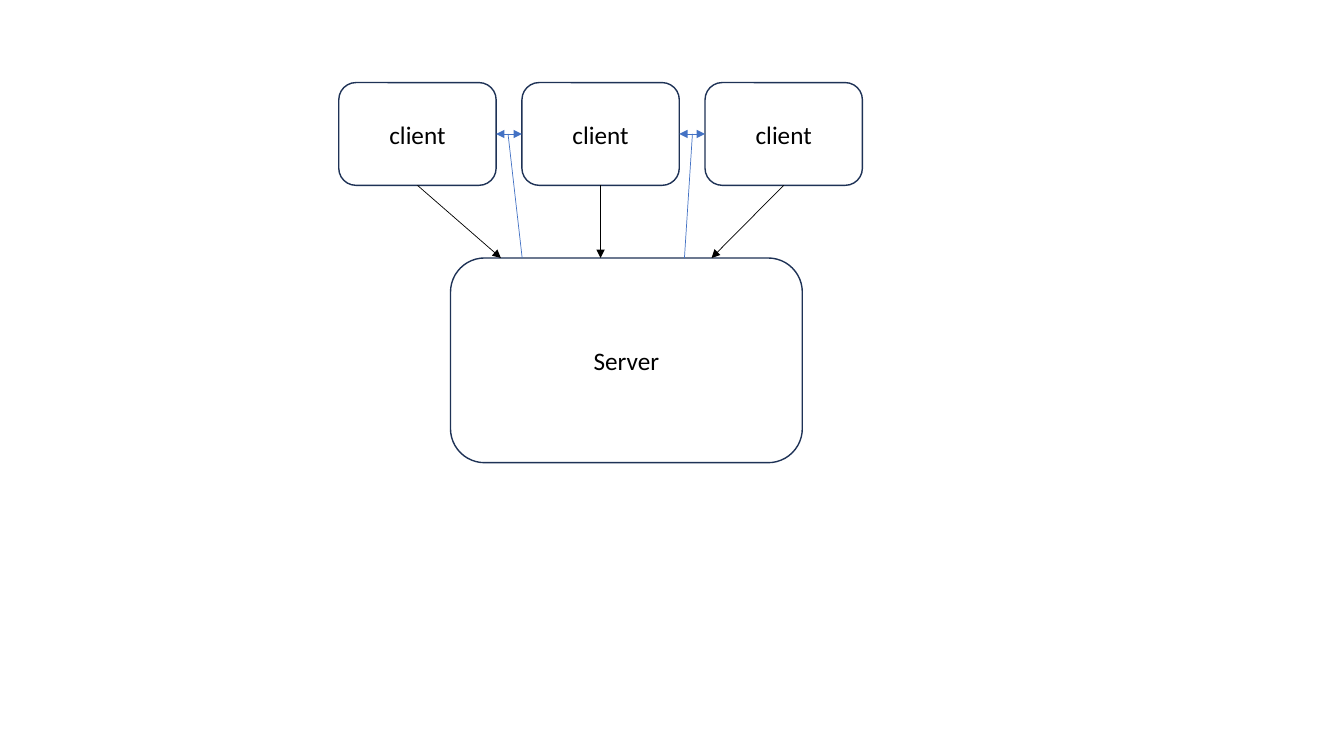
import pptx
import pptx.dml.color
import pptx.enum.shapes
import pptx.enum.text
import pptx.oxml.ns
import pptx.util
from lxml import etree

Pt = pptx.util.Pt
BLACK, WHITE, NAVY, BLUE = "000000", "FFFFFF", "1E3256", "4472C4"
TOP, LEFT, BOTTOM, RIGHT = range(4)

# Layout in points
CLIENT_LEFT, CLIENT_TOP, CLIENT_PITCH = 242, 59, 130.8
CLIENT_WIDTH, CLIENT_HEIGHT = 112.4, 73.4
CLIENT_BOTTOM = CLIENT_TOP + CLIENT_HEIGHT
CLIENT_MIDDLE = CLIENT_TOP + CLIENT_HEIGHT / 2
SERVER_LEFT, SERVER_TOP, SERVER_WIDTH, SERVER_HEIGHT = 321.8, 184.3, 251.3, 146.2

FONT_FORMAT = {"name": "Calibri", "size": Pt(18)}
FRAME_FORMAT = {
    "word_wrap": True,
    "vertical_anchor": pptx.enum.text.MSO_ANCHOR.MIDDLE,
}


def color(hex_string):
    return pptx.dml.color.RGBColor.from_string(hex_string)


def set_attributes(target, values):
    for name, value in values.items():
        setattr(target, name, value)


def add_box(slide, label, left, top, width, height):
    """Add a white rounded box with a centred label."""
    shape = slide.shapes.add_shape(
        pptx.enum.shapes.MSO_SHAPE.ROUNDED_RECTANGLE,
        Pt(left), Pt(top), Pt(width), Pt(height))
    shape.shadow.inherit = False
    shape.fill.solid()
    shape.fill.fore_color.rgb = color(WHITE)
    shape.line.color.rgb = color(NAVY)
    shape.line.width = Pt(1)

    set_attributes(shape.text_frame, FRAME_FORMAT)
    paragraph = shape.text_frame.paragraphs[0]
    paragraph.alignment = pptx.enum.text.PP_ALIGN.CENTER
    run = paragraph.add_run()
    run.text = label
    set_attributes(run.font, FONT_FORMAT)
    run.font.color.rgb = color(BLACK)
    return shape


def add_line(slide, start, end, line_color, arrowheads=()):
    """Add a thin straight line; arrowheads holds headEnd and/or tailEnd."""
    connector = slide.shapes.add_connector(
        pptx.enum.shapes.MSO_CONNECTOR.STRAIGHT,
        *(Pt(value) for value in (*start, *end)))
    connector.line.color.rgb = color(line_color)
    connector.line.width = Pt(0.5)
    line_element = connector.line._get_or_add_ln()
    for arrowhead in arrowheads:
        etree.SubElement(line_element, pptx.oxml.ns.qn("a:" + arrowhead), type="triangle")
    etree.SubElement(connector._element.spPr, pptx.oxml.ns.qn("a:effectLst"))
    return connector


def main():
    presentation = pptx.Presentation()
    presentation.slide_width, presentation.slide_height = Pt(960), Pt(540)
    slide = presentation.slides.add_slide(presentation.slide_layouts[6])

    # Server and clients
    add_box(slide, "Server", SERVER_LEFT, SERVER_TOP, SERVER_WIDTH, SERVER_HEIGHT)
    client_lefts = [CLIENT_LEFT + CLIENT_PITCH * index for index in range(3)]
    clients = [add_box(slide, "client", left, CLIENT_TOP, CLIENT_WIDTH, CLIENT_HEIGHT)
               for left in client_lefts]

    # Requests from each client to the server
    for client, left, server_x in zip(clients, client_lefts, (357.8, 429, 508.3)):
        request = add_line(slide, (left + CLIENT_WIDTH / 2, CLIENT_BOTTOM),
                           (server_x, SERVER_TOP), BLACK, ["tailEnd"])
        request.begin_connect(client, BOTTOM)

    # Links from the server to the gaps between clients
    for server_x, gap_x in ((373, 362.9), (488.9, 494.6)):
        add_line(slide, (server_x, SERVER_TOP), (gap_x, CLIENT_MIDDLE), BLUE)

    # Two-way links between neighbouring clients
    for index in range(2):
        link = add_line(slide, (client_lefts[index] + CLIENT_WIDTH, CLIENT_MIDDLE),
                        (client_lefts[index + 1], CLIENT_MIDDLE),
                        BLUE, ["headEnd", "tailEnd"])
        link.begin_connect(clients[index], RIGHT)
        link.end_connect(clients[index + 1], LEFT)

    presentation.save("out.pptx")


if __name__ == "__main__":
    main()
